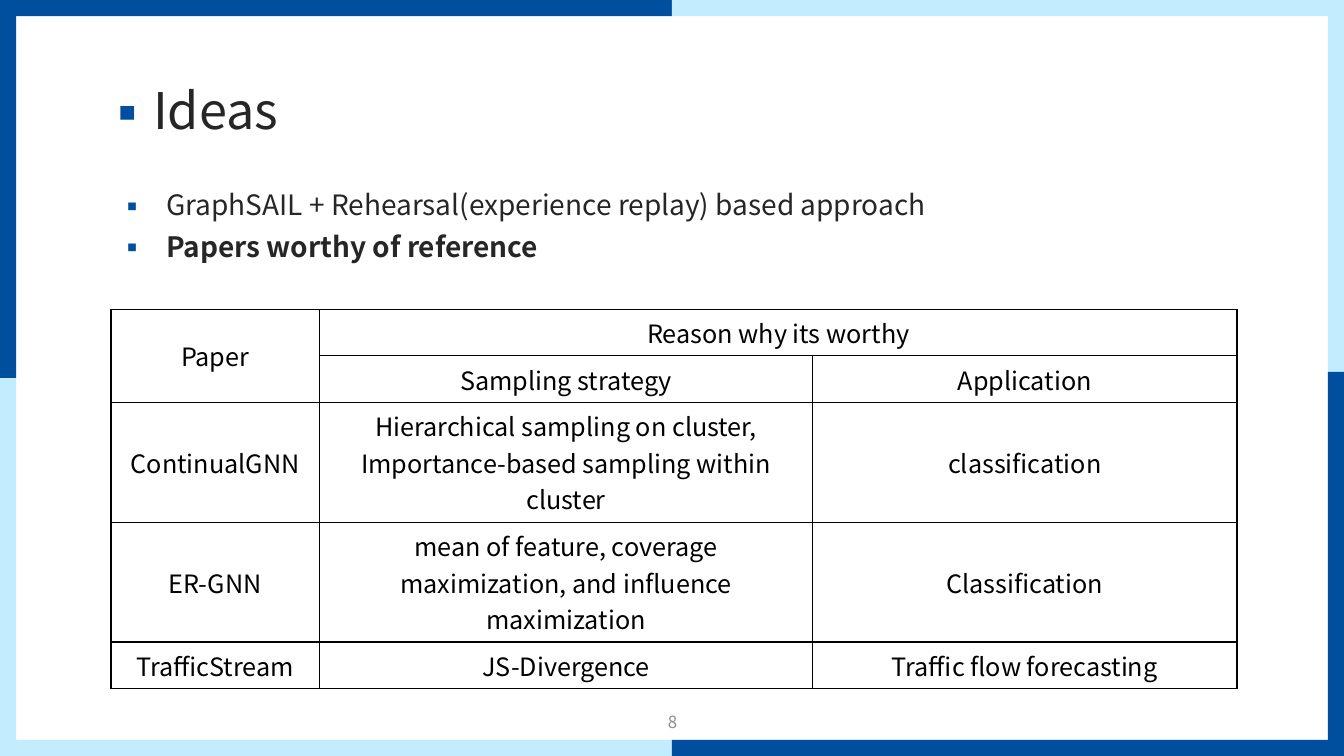
from lxml.etree import SubElement
from pptx import Presentation
from pptx.dml.color import RGBColor
from pptx.enum.shapes import MSO_SHAPE
from pptx.enum.text import MSO_ANCHOR as Anchor, PP_ALIGN as Align
from pptx.oxml import parse_xml
from pptx.oxml.ns import nsdecls, qn
from pptx.util import Inches, Pt

FONT = "Noto Sans CJK KR"
NAVY = RGBColor(0x00, 0x4F, 0x9E)
SKY = RGBColor(0xC2, 0xED, 0xFE)
WHITE = RGBColor(0xFF, 0xFF, 0xFF)
BLACK = RGBColor(0, 0, 0)
INK = RGBColor(0x26, 0x26, 0x26)
GRAY = RGBColor(0x8C, 0x8C, 0x8C)

WIDTH, HEIGHT, EDGE = 13.33, 7.5, 0.16
COLUMNS = [2.07, 4.89, 4.21]
ROWS = [0.46, 0.46, 1.19, 1.19, 0.46]
PAPERS = [
    ["Paper", "Reason why its worthy", None],
    [None, "Sampling strategy", "Application"],
    ["ContinualGNN",
     "Hierarchical sampling on cluster,\nImportance-based sampling within cluster",
     "classification"],
    ["ER-GNN",
     "mean of feature, coverage maximization, and influence maximization",
     "Classification"],
    ["TrafficStream", "JS-Divergence", "Traffic flow forecasting"],
]


def write(para, text, size=18, color=BLACK, bold=False, align=Align.LEFT,
          bullet=False, before=0, spacing=1.0):
    """Put formatted text into a paragraph."""
    para.alignment = align
    para.space_before = Pt(before)
    para.line_spacing = spacing
    if bullet:
        add_bullet(para)
    span = para.add_run()
    span.text = text
    font = span.font
    font.size, font.bold, font.name = Pt(size), bold, FONT
    font.color.rgb = color
    SubElement(span._r.get_or_add_rPr(), qn("a:ea"), typeface=FONT)


def add_bullet(para):
    """Give a paragraph a small navy square and a hanging indent."""
    props = para._p.get_or_add_pPr()
    props.set("marL", str(Inches(0.47)))
    props.set("indent", str(Inches(-0.47)))
    color = SubElement(props, qn("a:buClr"))
    SubElement(color, qn("a:srgbClr"), val=str(NAVY))
    SubElement(props, qn("a:buFont"), typeface=FONT)
    SubElement(props, qn("a:buChar"), char="▪")


def add_block(page, left, top, width, height, color):
    """Add a plain filled rectangle."""
    block = page.shapes.add_shape(MSO_SHAPE.RECTANGLE, Inches(left), Inches(top),
                                  Inches(width), Inches(height))
    block.shadow.inherit = False
    block.fill.solid()
    block.fill.fore_color.rgb = color
    block.line.fill.background()


def add_frame(page):
    """Draw the two-coloured border around the slide."""
    half_width, half_height = WIDTH / 2, HEIGHT / 2
    right, bottom = WIDTH - EDGE, HEIGHT - EDGE
    add_block(page, 0, 0, half_width, EDGE, NAVY)
    add_block(page, half_width, 0, half_width, EDGE, SKY)
    add_block(page, 0, bottom, half_width, EDGE, SKY)
    add_block(page, half_width, bottom, half_width, EDGE, NAVY)
    add_block(page, 0, 0, EDGE, half_height, NAVY)
    add_block(page, 0, half_height, EDGE, half_height, SKY)
    add_block(page, right, 0, EDGE, half_height, SKY)
    add_block(page, right, 3.69, EDGE, HEIGHT - 3.69, NAVY)
    add_block(page, 6.52, 7.06, 0.28, 0.27, WHITE)


def add_title(page, text):
    """Place and fill the title placeholder."""
    title = page.shapes.title
    title.left, title.top = Inches(0.92), Inches(0.4)
    title.width, title.height = Inches(11.5), Inches(1.45)
    title.text_frame.vertical_anchor = Anchor.MIDDLE
    write(title.text_frame.paragraphs[0], text, size=36, color=INK,
          bullet=True, spacing=0.9)


def add_text_box(page, left, top, width, height, anchor=Anchor.TOP):
    """Add a wrapping text box and return its text frame."""
    box = page.shapes.add_textbox(Inches(left), Inches(top),
                                  Inches(width), Inches(height))
    frame = box.text_frame
    frame.word_wrap = True
    frame.vertical_anchor = anchor
    return frame


def add_ideas(page):
    """Add the two bulleted lines above the table."""
    frame = add_text_box(page, 1.08, 1.85, 11.5, 1.1)
    style = dict(size=20, color=INK, bullet=True, spacing=0.9)
    write(frame.paragraphs[0],
          "GraphSAIL + Rehearsal(experience replay) based approach", **style)
    write(frame.add_paragraph(), "Papers worthy of reference",
          bold=True, before=8, **style)


def set_borders(cell):
    """Draw a thin black line on each side of a cell."""
    props = cell._tc.get_or_add_tcPr()
    for index, side in enumerate(("lnL", "lnR", "lnT", "lnB")):
        props.insert(index, parse_xml(
            f'<a:{side} {nsdecls("a")} w="{Pt(1)}"><a:solidFill>'
            f'<a:srgbClr val="{BLACK}"/></a:solidFill></a:{side}>'))


def add_paper_table(page):
    """Add the table of papers with its merged header cells."""
    table = page.shapes.add_table(
        len(ROWS), len(COLUMNS), Inches(1.1), Inches(3.07),
        Inches(sum(COLUMNS)), Inches(sum(ROWS))).table
    table.first_row = table.horz_banding = False
    for column, width in zip(table.columns, COLUMNS):
        column.width = Inches(width)
    for row, height, texts in zip(table.rows, ROWS, PAPERS):
        row.height = Inches(height)
        for cell, text in zip(row.cells, texts):
            cell.fill.background()
            set_borders(cell)
            cell.vertical_anchor = Anchor.MIDDLE
            for index, line in enumerate(text.split("\n") if text else []):
                frame = cell.text_frame
                para = frame.add_paragraph() if index else frame.paragraphs[0]
                write(para, line, align=Align.CENTER)
    table.cell(0, 0).merge(table.cell(1, 0))
    table.cell(0, 1).merge(table.cell(0, 2))


def main():
    """Build the slide and save the deck."""
    deck = Presentation()
    deck.slide_width, deck.slide_height = Inches(WIDTH), Inches(HEIGHT)
    page = deck.slides.add_slide(deck.slide_layouts[5])
    add_frame(page)
    add_title(page, "Ideas")
    add_ideas(page)
    number = add_text_box(page, 5.17, 6.96, 3, 0.4, anchor=Anchor.MIDDLE)
    write(number.paragraphs[0], "8", size=12, color=GRAY, align=Align.CENTER)
    add_paper_table(page)
    deck.save("out.pptx")


main()
